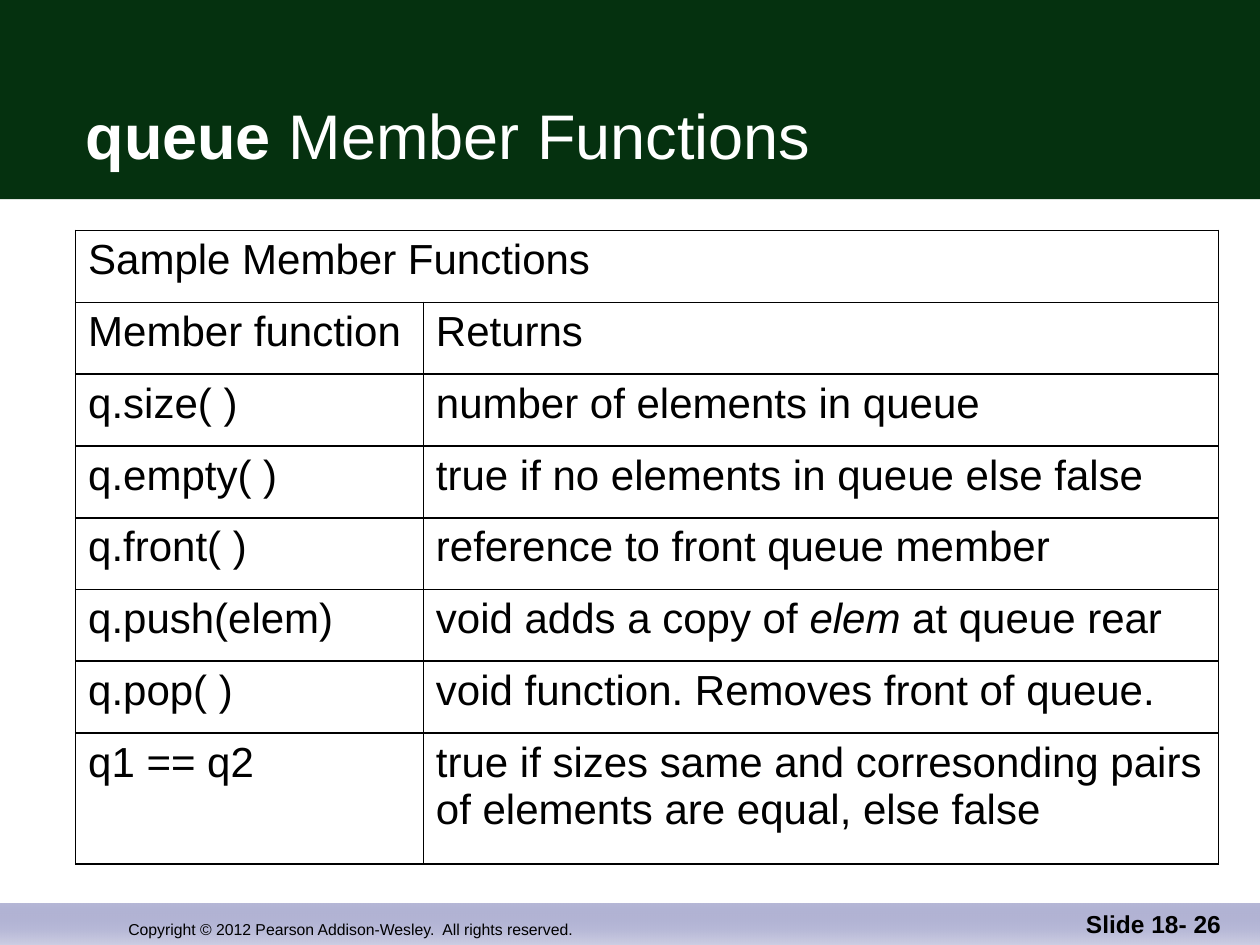
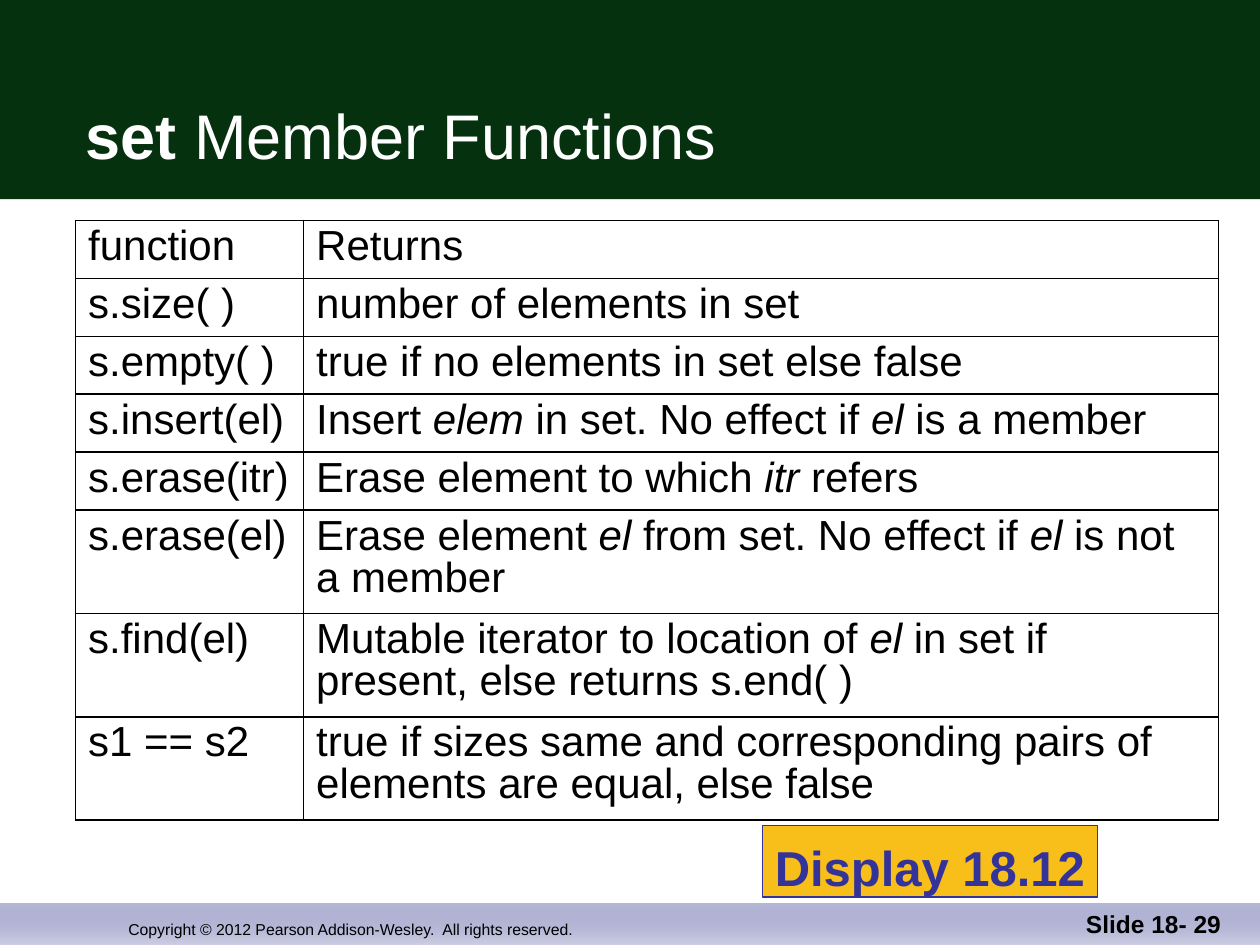
from dataclasses import dataclass
from lxml.etree import SubElement
from pptx import Presentation
from pptx.dml.color import RGBColor
from pptx.enum.shapes import MSO_SHAPE
from pptx.enum.text import MSO_ANCHOR, PP_ALIGN
from pptx.oxml.ns import qn
from pptx.util import Pt

PX = 9144  # 100 px to the inch


@dataclass(frozen=True)
class Theme:
    font: str = "Arial"
    green: str = "05310F"
    lilac_dark: str = "6669AA"
    lilac_light: str = "CCCDE3"
    gold: str = "F8BE1A"
    indigo: str = "333399"
    black: str = "000000"
    white: str = "FFFFFF"
    title_size: int = 36
    badge_size: int = 28
    table_size: int = 24
    number_size: int = 14
    copyright_size: int = 9
    border_width: float = 1.08


theme = Theme()


def px(*lengths):
    return [length * PX for length in lengths]


def write(text_frame, text, size, color=theme.black, bold=False, emphasis=None,
          align=PP_ALIGN.LEFT, anchor=MSO_ANCHOR.TOP, line_spacing=None, wrap=True):
    """Fill a text frame; parts between asterisks get the emphasis."""
    text_frame.word_wrap = wrap
    text_frame.vertical_anchor = anchor
    paragraph = text_frame.paragraphs[0]
    paragraph.alignment = align
    paragraph.line_spacing = line_spacing
    for index, part in enumerate(text.split("*")):
        if part:
            run = paragraph.add_run()
            run.text = part
            run.font.name = theme.font
            run.font.size = Pt(size)
            run.font.color.rgb = RGBColor.from_string(color)
            run.font.bold = bold or (index % 2 == 1 and emphasis == "bold")
            run.font.italic = index % 2 == 1 and emphasis == "italic"


pages = [
    {
        "title": "*queue* Member Functions", "number": 26, "top": 183,
        "columns": [276, 631], "row_heights": [57] * 7 + [104],
        "line_spacing": None, "badge": None,
        "rows": [
            ["Sample Member Functions"],
            ["Member function", "Returns"],
            ["q.size( )", "number of elements in queue"],
            ["q.empty( )", "true if no elements in queue else false"],
            ["q.front( )", "reference to front queue member"],
            ["q.push(elem)", "void adds a copy of *elem* at queue rear"],
            ["q.pop( )", "void function. Removes front of queue."],
            ["q1 == q2", "true if sizes same and corresonding pairs of elements are equal, else false"],
        ],
    },
    {
        "title": "*set* Member Functions", "number": 29, "top": 175,
        "columns": [181, 726], "row_heights": [46] * 5 + [82] * 3,
        "line_spacing": 0.9, "badge": "Display 18.12",
        "rows": [
            ["function", "Returns"],
            ["s.size( )", "number of elements in set"],
            ["s.empty( )", "true if no elements in set else false"],
            ["s.insert(el)", "Insert *elem* in set. No effect if *el *is a member"],
            ["s.erase(itr)", "Erase element to which *itr* refers"],
            ["s.erase(el)", "Erase element *el* from set. No effect if *el* is not a member"],
            ["s.find(el)", "Mutable iterator to location of *el* in set if present, else returns s.end( )"],
            ["s1 == s2", "true if sizes same and corresponding pairs of elements are equal, else false"],
        ],
    },
]

presentation = Presentation()
presentation.slide_width, presentation.slide_height = px(1000, 750)

# Layout: keep only the title placeholder and place it once
layout = presentation.slide_layouts.get_by_name("Title Only")
layout_title, *unused = layout.placeholders
for placeholder in unused:
    layout.shapes.element.remove(placeholder.element)
layout_title.left, layout_title.top, layout_title.width, layout_title.height = px(58, 33, 908, 109)
slides = [presentation.slides.add_slide(layout) for page in pages]

# Bands and copyright line, drawn on the first slide and moved to the layout
shapes = slides[0].shapes
footer_band = shapes.add_shape(MSO_SHAPE.RECTANGLE, *px(0, 717, 1000, 33))
footer_band.fill.gradient()
footer_band.fill.gradient_angle = 270
for stop, color in zip(footer_band.fill.gradient_stops, [theme.lilac_dark, theme.lilac_light]):
    stop.color.rgb = RGBColor.from_string(color)
first_color = next(footer_band.element.iter(qn("a:srgbClr")))
SubElement(first_color, qn("a:alpha"), val="47000")

title_band = shapes.add_shape(MSO_SHAPE.RECTANGLE, *px(0, 0, 1000, 158))
title_band.fill.solid()
title_band.fill.fore_color.rgb = RGBColor.from_string(theme.green)
for band in [footer_band, title_band]:
    band.shadow.inherit = False
    band.line.fill.background()

copyright_box = shapes.add_textbox(*px(92, 700, 492, 50))
write(copyright_box.text_frame, "Copyright © 2012 Pearson Addison-Wesley.  All rights reserved.",
      size=theme.copyright_size, anchor=MSO_ANCHOR.BOTTOM)
for shape in [footer_band, title_band, copyright_box]:
    layout.shapes.element.append(shape.element)

for slide, page in zip(slides, pages):
    # Title
    write(slide.shapes.title.text_frame, page["title"], size=theme.title_size,
          color=theme.white, emphasis="bold", anchor=MSO_ANCHOR.BOTTOM)

    # Table of member functions
    rows, heights = page["rows"], page["row_heights"]
    table = slide.shapes.add_table(
        len(rows), 2, *px(60, page["top"], sum(page["columns"]), sum(heights))).table
    table.first_row = table.horz_banding = False
    for column, width in zip(table.columns, page["columns"]):
        column.width = width * PX
    for row, height in zip(table.rows, heights):
        row.height = height * PX
    for cell in table.iter_cells():
        properties = cell._tc.get_or_add_tcPr()
        for side in ["a:lnL", "a:lnR", "a:lnT", "a:lnB"]:
            border = SubElement(properties, qn(side), w=str(Pt(theme.border_width)))
            SubElement(SubElement(border, qn("a:solidFill")), qn("a:srgbClr"), val=theme.black)
        cell.fill.background()
    for row_index, texts in enumerate(rows):
        if len(texts) == 1:
            table.cell(row_index, 0).merge(table.cell(row_index, 1))
        for column_index, text in enumerate(texts):
            write(table.cell(row_index, column_index).text_frame, text, size=theme.table_size,
                  emphasis="italic", line_spacing=page["line_spacing"])

    # Slide number
    number_box = slide.shapes.add_textbox(*px(771, 700, 208, 50))
    write(number_box.text_frame, f"Slide 18- {page['number']}", size=theme.number_size,
          bold=True, align=PP_ALIGN.RIGHT, anchor=MSO_ANCHOR.BOTTOM)

    # Display badge
    if page["badge"]:
        badge = slide.shapes.add_shape(MSO_SHAPE.RECTANGLE, *px(605, 655, 266, 57))
        badge.shadow.inherit = False
        badge.fill.solid()
        badge.fill.fore_color.rgb = RGBColor.from_string(theme.gold)
        badge.line.color.rgb = RGBColor.from_string(theme.indigo)
        badge.line.width = Pt(0.75)
        badge.text_frame.margin_top, badge.text_frame.margin_bottom = px(10, 0)
        write(badge.text_frame, page["badge"], size=theme.badge_size, color=theme.indigo,
              bold=True, align=PP_ALIGN.CENTER, wrap=False)

presentation.save("out.pptx")
